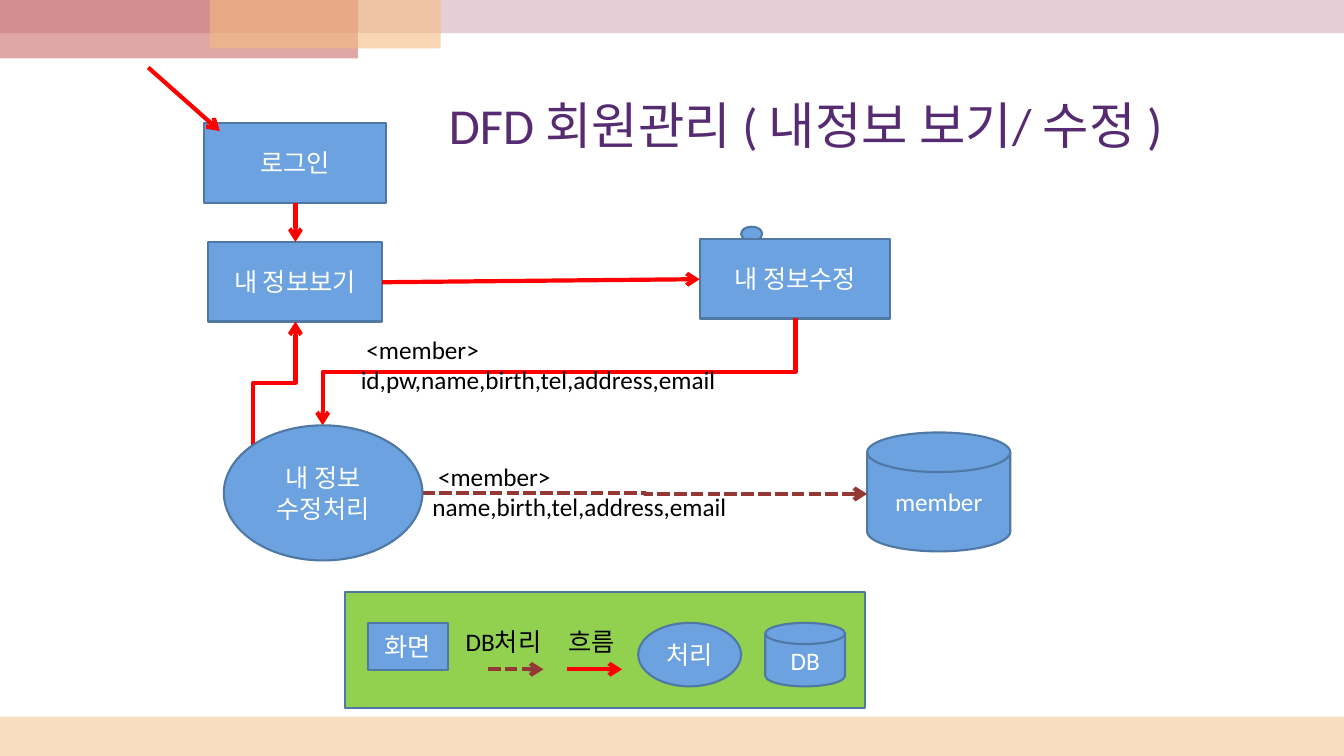
from pptx import Presentation
from pptx.util import Inches, Pt
from pptx.dml.color import RGBColor
from pptx.enum.dml import MSO_LINE
from pptx.enum.shapes import MSO_CONNECTOR, MSO_SHAPE
from pptx.enum.text import MSO_ANCHOR, MSO_AUTO_SIZE, PP_ALIGN
from pptx.oxml.ns import qn
from lxml import etree

RECT, OVAL = MSO_SHAPE.RECTANGLE, MSO_SHAPE.OVAL
DISK = MSO_SHAPE.FLOWCHART_MAGNETIC_DISK
LINE, BEND = MSO_CONNECTOR.STRAIGHT, MSO_CONNECTOR.ELBOW
DASH, MID, MIDDLE = MSO_LINE.SQUARE_DOT, PP_ALIGN.CENTER, MSO_ANCHOR.MIDDLE
FIT = MSO_AUTO_SIZE.SHAPE_TO_FIT_TEXT
BLUE, EDGE, GREEN = "6BA2DF", "4F78A5", "92D050"
RED, BROWN, WHITE, BLACK = "FF0000", "953735", "FFFFFF", "000000"
hue = RGBColor.from_string

prs = Presentation()
prs.slide_width, prs.slide_height = Inches(13.33), Inches(7.5)
slide = prs.slides.add_slide(prs.slide_layouts[5])
shapes = slide.shapes


def write(frame, text, size, color, align=None):
    frame.text = text
    look = {"name": "Calibri", "size": Pt(size), "bold": False}
    for para in frame.paragraphs:
        para.alignment = align
        for key, value in look.items():
            setattr(para.font, key, value)
        para.font.color.rgb = hue(color)


def draw(kind, place, text="", fill=BLUE):
    node = shapes.add_shape(kind, *map(Inches, place))
    node.shadow.inherit = False
    node.fill.solid()
    node.fill.fore_color.rgb = hue(fill)
    node.line.color.rgb = hue(EDGE)
    node.line.width = Pt(1.5)
    if text:
        node.text_frame.vertical_anchor = MIDDLE
        write(node.text_frame, text, 18, WHITE, MID)
    return node


# Translucent bands along the top and bottom
bands = [
    ((0, 7.11, 13.33, 0.39), "F5BC83", 50),
    ((0, 0, 13.33, 0.33), "CC9EAC", 50),
    ((0, 0, 3.55, 0.58), "C0504D", 50),
    ((2.08, 0, 2.29, 0.48), "F5BC83", 60),
]
for place, color, alpha in bands:
    band = draw(RECT, place, fill=color)
    band.line.fill.background()
    tint = band.fill._xPr.find(".//" + qn("a:srgbClr"))
    etree.SubElement(tint, qn("a:alpha"), val=str(alpha * 1000))

# Title
title = shapes.title
spot = {"left": 3.38, "top": 0.71, "width": 9.22, "height": 1.05}
for key, value in spot.items():
    setattr(title, key, Inches(value))
title.text_frame.vertical_anchor = MIDDLE
write(title.text_frame, "DFD 회원관리 ( 내정보 보기/ 수정 )", 36, "562B71", MID)

# Screens, process, store and legend
nodes = [
    (RECT, (2.02, 1.22, 1.81, 0.79), "로그인", BLUE),
    (OVAL, (7.35, 2.25, 0.21, 0.14), "", BLUE),
    (RECT, (6.94, 2.37, 1.89, 0.79), "내 정보수정", BLUE),
    (DISK, (8.6, 4.29, 1.42, 1.18), "member", BLUE),
    (RECT, (2.06, 2.4, 1.73, 0.79), "내 정보보기", BLUE),
    (RECT, (3.42, 5.87, 5.16, 1.15), "", GREEN),
    (RECT, (3.65, 6.18, 0.79, 0.47), "화면", BLUE),
    (DISK, (7.59, 6.18, 0.79, 0.63), "DB", BLUE),
    (OVAL, (6.33, 6.18, 1.02, 0.63), "처리", BLUE),
]
for node in nodes:
    draw(*node)

# Arrows: red for flow, dashed brown for database work
arrows = [
    (LINE, (1.47, 0.67), (2.18, 1.3), RED),
    (BEND, (2.93, 2.01), (2.93, 2.4), RED),
    (BEND, (7.89, 3.16), (3.2, 4.22), RED),
    (BEND, (2.51, 4.41), (2.93, 3.19), RED),
    (BEND, (4.19, 4.89), (8.6, 4.9), BROWN),
    (LINE, (3.79, 2.8), (6.94, 2.77), RED),
    (LINE, (5.62, 6.64), (6.17, 6.64), RED),
    (LINE, (4.84, 6.64), (5.39, 6.64), BROWN),
]
for kind, (x1, y1), (x2, y2), color in arrows:
    ends, turn = (x1, y1, x2, y2), 0
    if kind == BEND and color == RED:
        # A bend that leaves vertically is a sideways one, turned about its centre
        turn = 90 if y2 > y1 else 270
        cx, cy = (x1 + x2) / 2, (y1 + y2) / 2
        dx, dy = abs(y2 - y1) / 2, abs(x2 - x1) / 2
        ends = (cx - dx, cy - dy, cx + dx, cy + dy)
    arrow = shapes.add_connector(kind, *map(Inches, ends))
    arrow.line.color.rgb = hue(color)
    arrow.line.width = Pt(3)
    if color == BROWN:
        arrow.line.dash_style = DASH
    prop = arrow._element.spPr
    if turn:
        prop.find(qn("a:xfrm")).set("rot", str(turn * 60000))
    etree.SubElement(prop.find(qn("a:ln")), qn("a:tailEnd"), type="arrow")
    etree.SubElement(prop, qn("a:effectLst"))

# The process covers the start of its arrows
draw(OVAL, (2.22, 4.22, 1.97, 1.34), "내 정보\n수정처리")

# Labels
labels = [
    ((3.48, 3.27, 4.37, 0.7), " <member>\nid,pw,name,birth,tel,address,email"),
    ((4.19, 4.53, 3.63, 0.7), " <member>\nname,birth,tel,address,email"),
    ((5.54, 6.16, 0.71, 0.4), "흐름"),
    ((4.52, 6.16, 1.02, 0.4), "DB처리"),
]
for place, text in labels:
    frame = shapes.add_textbox(*map(Inches, place)).text_frame
    frame.word_wrap = False
    frame.auto_size = FIT
    write(frame, text, 18, BLACK, PP_ALIGN.LEFT)

prs.save("out.pptx")
